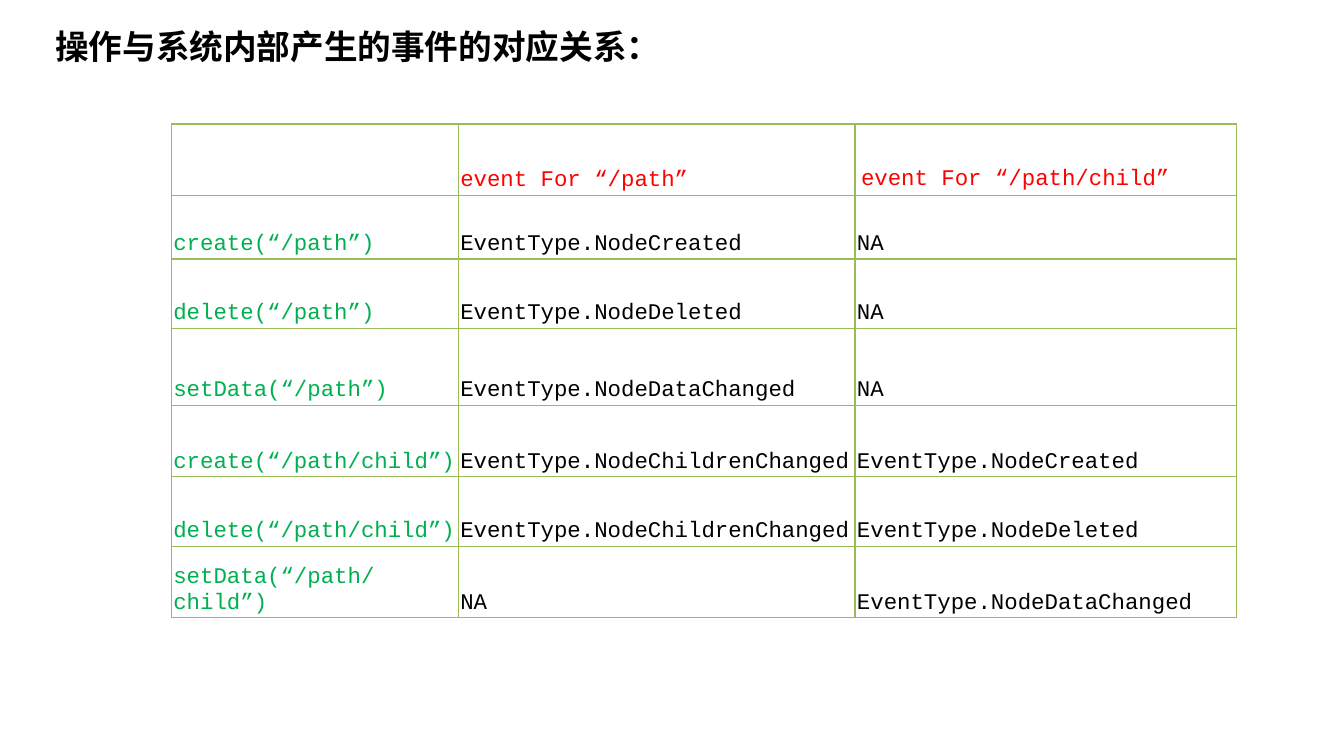
from lxml import etree
from pptx import Presentation, util as u
from pptx.dml.color import RGBColor
from pptx.enum import text
from pptx.oxml import ns

BLACK = RGBColor(0, 0, 0)
RED = RGBColor(0xFF, 0, 0)
GREEN = RGBColor(0, 0xB0, 0x50)
OLIVE = RGBColor(0x9B, 0xBB, 0x59)


class Deck:
    """Holds the style and the current slide; lengths are percent of its size."""
    sans, mono = "Noto Sans CJK SC", "Courier New"
    head, body = 24, 16

    def __init__(self):
        self.prs = Presentation()
        self.prs.slide_width = u.Inches(13.33)
        self.prs.slide_height = u.Inches(7.5)
        self.slide = self.prs.slides.add_slide(self.prs.slide_layouts[6])

    def wide(self, share):
        return round(self.prs.slide_width * share / 100)

    def high(self, share):
        return round(self.prs.slide_height * share / 100)

    def run(self, para, words, font, size, color, bold=False):
        run = para.add_run()
        run.text = words
        run.font.name, run.font.size, run.font.bold = font, u.Pt(size), bold
        run.font.color.rgb = color
        east = etree.SubElement(run.font._element, ns.qn("a:ea"))
        east.set("typeface", font)

    def title(self, left, top, width, height, words):
        box = self.slide.shapes.add_textbox(
            self.wide(left), self.high(top), self.wide(width), self.high(height))
        frame = box.text_frame
        frame.word_wrap = True
        frame.auto_size = text.MSO_AUTO_SIZE.SHAPE_TO_FIT_TEXT
        self.run(frame.paragraphs[0], words, self.sans, self.head, BLACK, True)

    def border(self, cell, color):
        props = cell._tc.get_or_add_tcPr()
        for spot, side in enumerate(("lnL", "lnR", "lnT", "lnB")):
            line = etree.Element(ns.qn("a:" + side), w=str(u.Pt(1)))
            fill = etree.SubElement(line, ns.qn("a:solidFill"))
            etree.SubElement(fill, ns.qn("a:srgbClr"), val=str(color))
            props.insert(spot, line)

    def cell(self, cell, words, color, pad):
        cell.fill.background()
        self.border(cell, OLIVE)
        cell.vertical_anchor = text.MSO_ANCHOR.BOTTOM
        side, edge = (u.Inches(p) for p in pad)
        cell.margin_left = cell.margin_right = side
        cell.margin_top = cell.margin_bottom = edge
        if words:
            para = cell.text_frame.paragraphs[0]
            self.run(para, words, self.mono, self.body, color)

    def table(self, left, top, cols, rows, data, paint, pad):
        grid = self.slide.shapes.add_table(
            len(rows), len(cols), self.wide(left), self.high(top),
            self.wide(sum(cols)), self.high(sum(rows))).table
        for col, share in zip(grid.columns, cols):
            col.width = self.wide(share)
        for row, share in zip(grid.rows, rows):
            row.height = self.high(share)
        for r, line in enumerate(data):
            for c, words in enumerate(line):
                self.cell(grid.cell(r, c), words, paint(r, c), pad(r, c))


def paint(row, col):
    return RED if row == 0 else GREEN if col == 0 else BLACK


def pad(row, col):
    return (0.06, 0.03) if (row, col) == (0, 2) else (0.02, 0.02)


# Operations, with the event each one raises on the node and on its child
NODE, CHILD = "“/path”", "“/path/child”"
HEAD = "event\u00a0For\u00a0"
KINDS = {"create": "NodeCreated", "delete": "NodeDeleted",
         "setData": "NodeDataChanged"}
events = [["", HEAD + NODE, HEAD + CHILD]]
for call, kind in KINDS.items():
    events.append([f"{call}({NODE})", "EventType." + kind, "NA"])
for call, kind in KINDS.items():
    up = "NA" if call == "setData" else "EventType.NodeChildrenChanged"
    events.append([f"{call}({CHILD})", up, "EventType." + kind])

deck = Deck()

# Heading
deck.title(3.38, 2.8, 49.59, 6.67, "操作与系统内部产生的事件的对应关系：")

# Event table
deck.table(12.75, 16.4, (21.35, 29.52, 28.36),
           (9.47, 8.4, 9.2, 10.13, 9.47, 9.2, 9.47), events, paint, pad)

deck.prs.save("out.pptx")
